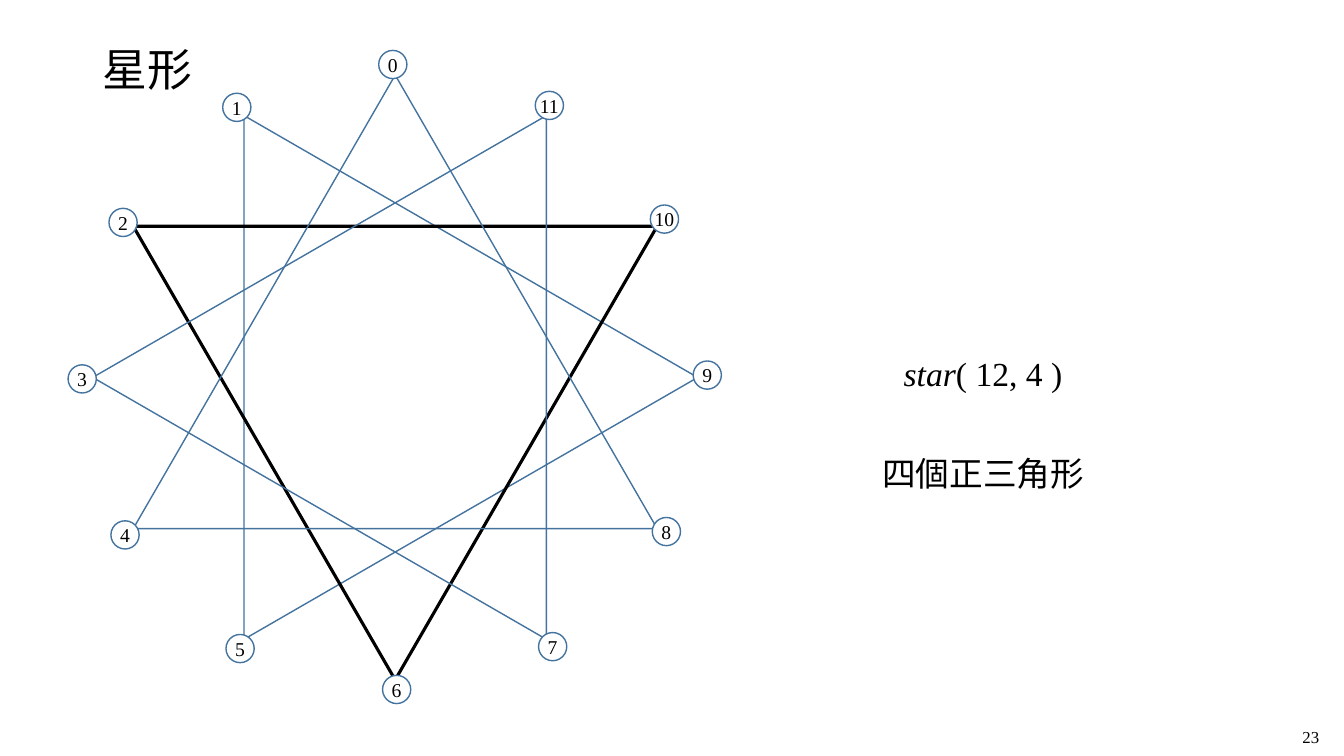
from math import cos, radians, sin

from pptx import Presentation
from pptx.dml.color import RGBColor
from pptx.enum.shapes import MSO_SHAPE
from pptx.enum.text import MSO_ANCHOR, PP_ALIGN
from pptx.util import Inches, Pt

OVAL, RECTANGLE = MSO_SHAPE.OVAL, MSO_SHAPE.RECTANGLE
MIDDLE, TOP = MSO_ANCHOR.MIDDLE, MSO_ANCHOR.TOP
LEFT, CENTER = PP_ALIGN.LEFT, PP_ALIGN.CENTER

SERIF, CJK = "Times New Roman", "Noto Sans CJK SC"
BLACK, WHITE, BLUE = "000000", "FFFFFF", "43739E"

TITLE = "星形"
PAGE_NUMBER = "23"
# Each caption is a list of (text, italic) runs
CAPTIONS = [
    [("star", True), ("( 12, 4 )", False)],
    [("四個正三角形", False)],
]
POINT_COUNT, STEP = 12, 4
TRIANGLE_STARTS = [9, 10, 11, 0]
HIGHLIGHTED_START = 10

WIDTH, HEIGHT = 13.33, 7.5
STAR_CENTER, STAR_RADIUS = (3.92, 3.745), 3
LABEL_CENTER, LABEL_RADIUS, LABEL_TILT = (3.915, 3.74), 3.1, 0.35
LABEL_SIZE = 0.28
CAPTION_LEFT, CAPTION_TOP, CAPTION_WIDTH, CAPTION_HEIGHT = 8.3, 3.21, 2.9, 0.99


def rgb(color):
    return RGBColor.from_string(color)


def ring_point(index, center, radius, tilt=0):
    """Point of the star, counted counter-clockwise from the top."""
    angle = radians(index * 360 / POINT_COUNT + tilt)
    return center[0] - radius * sin(angle), center[1] - radius * cos(angle)


def write(shape, runs, size, font=SERIF, align=CENTER, anchor=MIDDLE, wrap=True):
    frame = shape.text_frame
    frame.word_wrap = wrap
    frame.vertical_anchor = anchor
    paragraph = frame.paragraphs[0]
    paragraph.alignment = align
    paragraph.font.name = font
    paragraph.font.size = Pt(size)
    paragraph.font.color.rgb = rgb(BLACK)
    for text, italic in runs:
        run = paragraph.add_run()
        run.text = text
        if italic:
            run.font.italic = True
    return paragraph


def add_white_shape(slide, kind, left, top, width, height):
    shape = slide.shapes.add_shape(
        kind, Inches(left), Inches(top), Inches(width), Inches(height))
    shape.shadow.inherit = False
    shape.fill.solid()
    shape.fill.fore_color.rgb = rgb(WHITE)
    shape.line.fill.background()
    return shape


def set_line(shape, color, width):
    shape.line.color.rgb = rgb(color)
    shape.line.width = Pt(width)


def add_triangle(slide, start):
    corners = [
        tuple(Inches(v) for v in ring_point(index, STAR_CENTER, STAR_RADIUS))
        for index in range(start, start + POINT_COUNT, STEP)
    ]
    builder = slide.shapes.build_freeform(*corners[0])
    builder.add_line_segments(corners[1:], close=True)
    triangle = builder.convert_to_shape()
    triangle.shadow.inherit = False
    triangle.fill.background()
    if start == HIGHLIGHTED_START:
        set_line(triangle, BLACK, 2.25)
    else:
        set_line(triangle, BLUE, 1)


def add_label(slide, index):
    x, y = ring_point(index, LABEL_CENTER, LABEL_RADIUS, LABEL_TILT)
    label = add_white_shape(slide, OVAL, x - LABEL_SIZE / 2, y - LABEL_SIZE / 2,
                            LABEL_SIZE, LABEL_SIZE)
    set_line(label, BLUE, 1)
    write(label, [(str(index), False)], 14, wrap=False)


def main():
    deck = Presentation()
    deck.slide_width, deck.slide_height = Inches(WIDTH), Inches(HEIGHT)
    slide = deck.slides.add_slide(deck.slide_layouts[6])

    title = slide.shapes.add_textbox(Inches(0.92), Inches(0.4), Inches(11.5), Inches(0.62))
    write(title, [(TITLE, False)], 32, CJK, LEFT).line_spacing = 0.9

    for start in TRIANGLE_STARTS:
        add_triangle(slide, start)
    for index in range(POINT_COUNT):
        add_label(slide, index)

    for row, runs in enumerate(CAPTIONS):
        caption = add_white_shape(slide, RECTANGLE, CAPTION_LEFT,
                                  CAPTION_TOP + row * CAPTION_HEIGHT,
                                  CAPTION_WIDTH, CAPTION_HEIGHT)
        write(caption, runs, 24)

    number = slide.shapes.add_textbox(Inches(12.82), Inches(7.16), Inches(0.37), Inches(0.3))
    write(number, [(PAGE_NUMBER, False)], 12, align=LEFT, anchor=TOP, wrap=False)

    deck.save("out.pptx")


if __name__ == "__main__":
    main()
